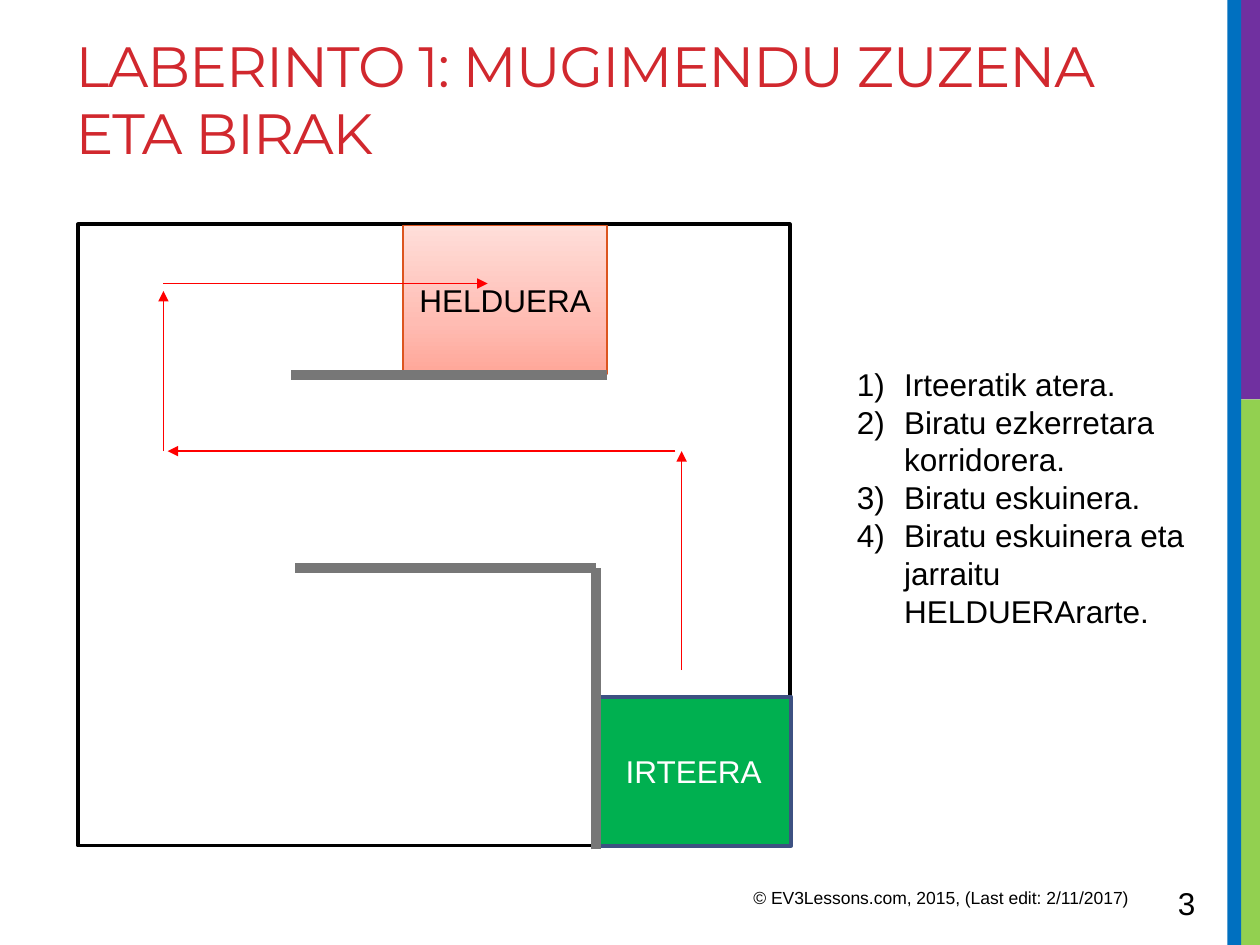
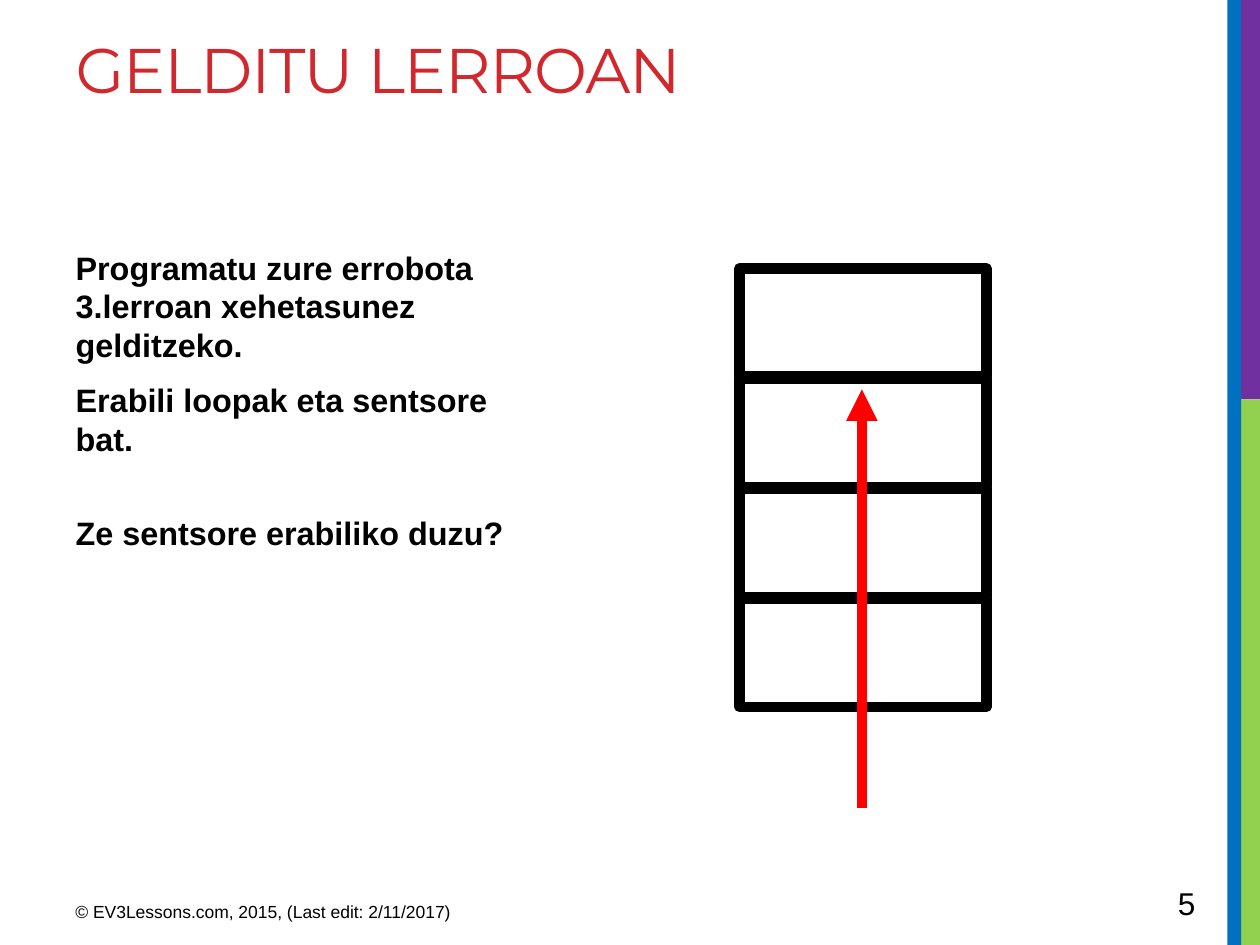
from copy import deepcopy
from dataclasses import dataclass

from lxml import etree
from pptx import Presentation
from pptx.dml.color import RGBColor
from pptx.enum import shapes, text
from pptx.oxml.ns import qn
from pptx.util import Pt


@dataclass(frozen=True)
class Theme:
    heading_font: str = "Montserrat"
    text_font: str = "Arial"
    heading: str = "D1282E"
    ink: str = "000000"
    paper: str = "FFFFFF"
    blue: str = "0070C0"
    green: str = "92D050"
    purple: str = "7030A0"
    start: str = "00B050"
    start_edge: str = "3D5182"
    finish_edge: str = "DC551F"
    finish_fade: tuple = ((0, "FFA698"), (0.35, "FFBCB3"), (1, "FFDED9"))
    wall: str = "777777"
    route: str = "FF0000"
    label_size: float = 18
    task_size: float = 18.5
    footer_size: float = 10


theme = Theme()


def write(paragraph, words, size, color=theme.ink, font=theme.text_font, bold=False):
    paragraph.text = words
    paragraph.font.name = font
    paragraph.font.size = Pt(size)
    paragraph.font.bold = bold
    paragraph.font.color.rgb = RGBColor.from_string(color)


def add_box(slide, area, fill=None, edge=None, weight=0):
    box = slide.shapes.add_shape(shapes.MSO_SHAPE.RECTANGLE, *map(Pt, area))
    box.shadow.inherit = False
    if fill:
        box.fill.solid()
        box.fill.fore_color.rgb = RGBColor.from_string(fill)
    else:
        box.fill.background()
    if edge:
        box.line.color.rgb = RGBColor.from_string(edge)
        box.line.width = Pt(weight)
    else:
        box.line.fill.background()
    return box


deck = Presentation()
deck.slide_width, deck.slide_height = Pt(720), Pt(540)

# Shared frame: title, stripes, footer and page number
pages = [
    ("LABERINTO 1: MUGIMENDU ZUZENA ETA BIRAK", 32.4, 64, "3", (423.4, 503.3)),
    ("GELDITU LERROAN", 36, 108, "5", (36, 511.2)),
]
stripes = [
    ((709, 228.2, 11, 311.8), theme.green),
    ((709, 0, 11, 228.2), theme.purple),
    ((701.3, 0, 7.9, 540), theme.blue),
]
for heading, size, height, number, footer_at in pages:
    slide = deck.slides.add_slide(deck.slide_layouts[1])
    for area, color in stripes:
        add_box(slide, area, color)

    title = slide.shapes.title
    title.left, title.top, title.width, title.height = map(Pt, (36, 14.8, 649.4, height))
    title.text_frame.vertical_anchor = text.MSO_ANCHOR.TOP
    title.text_frame.auto_size = text.MSO_AUTO_SIZE.NONE
    headline = title.text_frame.paragraphs[0]
    write(headline, heading, size, theme.heading, theme.heading_font)
    headline.alignment = text.PP_ALIGN.LEFT
    headline.line_spacing = Pt(round(size * 1.18, 1))
    headline._p.pPr.find(qn("a:defRPr")).set("spc", "-60")

    credit = "© EV3Lessons.com, 2015, (Last edit: 2/11/2017)"
    for words, words_size, area in [
        (credit, theme.footer_size, (*footer_at, 270, 22.3)),
        (number, theme.label_size, (666, 501.8, 49.7, 28.8)),
    ]:
        note = slide.shapes.add_textbox(*map(Pt, area)).text_frame
        note.word_wrap = True
        write(note.paragraphs[0], words, words_size)

maze, lanes = deck.slides

# Maze: outer walls, start and finish
add_box(maze, (44.6, 128.2, 406.8, 355), theme.paper, theme.ink, 2.25)
start = add_box(maze, (340.6, 398.2, 111.6, 85), theme.start, theme.start_edge, 2.25)
finish = add_box(maze, (230.4, 128.9, 116.6, 85), theme.paper, theme.finish_edge, 1)
finish.fill.gradient()
finish.fill.gradient_angle = 90
fade = finish._element.spPr.find(qn("a:gradFill")).find(qn("a:gsLst"))
fade.insert(1, deepcopy(fade[0]))
for stop, (position, color) in zip(finish.fill.gradient_stops, theme.finish_fade):
    stop.position = position
    stop.color.rgb = RGBColor.from_string(color)
for place, words, color in [(start, "IRTEERA", theme.paper), (finish, "HELDUERA", theme.ink)]:
    place.text_frame.vertical_anchor = text.MSO_ANCHOR.MIDDLE
    write(place.text_frame.paragraphs[0], words, theme.label_size, color)
    place.text_frame.paragraphs[0].alignment = text.PP_ALIGN.CENTER

# Lists: numbered maze steps, and the task without bullets
steps = [
    "Irteeratik atera.",
    "Biratu ezkerretara korridorera.",
    "Biratu eskuinera.",
    "Biratu eskuinera eta jarraitu HELDUERArarte.",
]
task = [
    "Programatu zure errobota 3.lerroan xehetasunez gelditzeko.",
    "Erabili loopak eta sentsore bat.",
    "Ze sentsore erabiliko duzu?",
]
lists = [
    (maze, (482.4, 201.6, 208.8, 164.9), steps, text.MSO_ANCHOR.MIDDLE,
     theme.label_size, 21.6, 27, (0, 0, 0, 0), 0),
    (lanes, (36, 138.2, 270, 185.8), task, text.MSO_ANCHOR.TOP,
     theme.task_size, 22, 0, (0, 3.7, 25.7), 6),
]
for slide, area, items, anchor, size, pitch, indent, gaps, after in lists:
    body = slide.placeholders[1]
    body.left, body.top, body.width, body.height = map(Pt, area)
    frame = body.text_frame
    frame.vertical_anchor = anchor
    frame.auto_size = text.MSO_AUTO_SIZE.NONE
    for index, (words, gap) in enumerate(zip(items, gaps)):
        item = frame.paragraphs[0] if index == 0 else frame.add_paragraph()
        layout = item._p.get_or_add_pPr()
        layout.set("marL", str(Pt(indent)))
        layout.set("indent", str(-Pt(indent)))
        if indent:
            etree.SubElement(layout, qn("a:buFont"), typeface="+mj-lt")
            etree.SubElement(layout, qn("a:buAutoNum"), type="arabicParenR")
        else:
            etree.SubElement(layout, qn("a:buNone"))
        write(item, words, size, bold=slide is lanes)
        item.line_spacing = Pt(pitch)
        item.space_before, item.space_after = Pt(gap), Pt(after)

# Four stacked lanes
for row in range(4):
    add_box(lanes, (422.6, 153.4 + row * 62.9, 141.1, 61.9), edge=theme.ink, weight=6)

# Walls and routes: slide, colour, weight, arrowhead, segments
strokes = [
    (maze, theme.wall, 6, False, [
        (340.6, 485.3, 340.6, 324.7),
        (340.6, 324.7, 168.5, 324.7),
        (347, 214.4, 166.3, 214.4),
    ]),
    (maze, theme.route, 1, True, [
        (389.5, 383, 389.5, 257.8),
        (385.9, 257.8, 95.8, 257.8),
        (93.4, 257.8, 93.4, 166.3),
        (93.4, 162, 278.6, 162),
    ]),
    (lanes, theme.route, 6, True, [(492.5, 461.5, 492.5, 222.5)]),
]
for slide, color, weight, has_head, segments in strokes:
    for ends in segments:
        stroke = slide.shapes.add_connector(shapes.MSO_CONNECTOR.STRAIGHT, *map(Pt, ends))
        stroke.line.color.rgb = RGBColor.from_string(color)
        stroke.line.width = Pt(weight)
        if has_head:
            etree.SubElement(stroke.line._get_or_add_ln(), qn("a:tailEnd"), type="triangle")
        etree.SubElement(stroke._element.spPr, qn("a:effectLst"))

deck.save("out.pptx")
